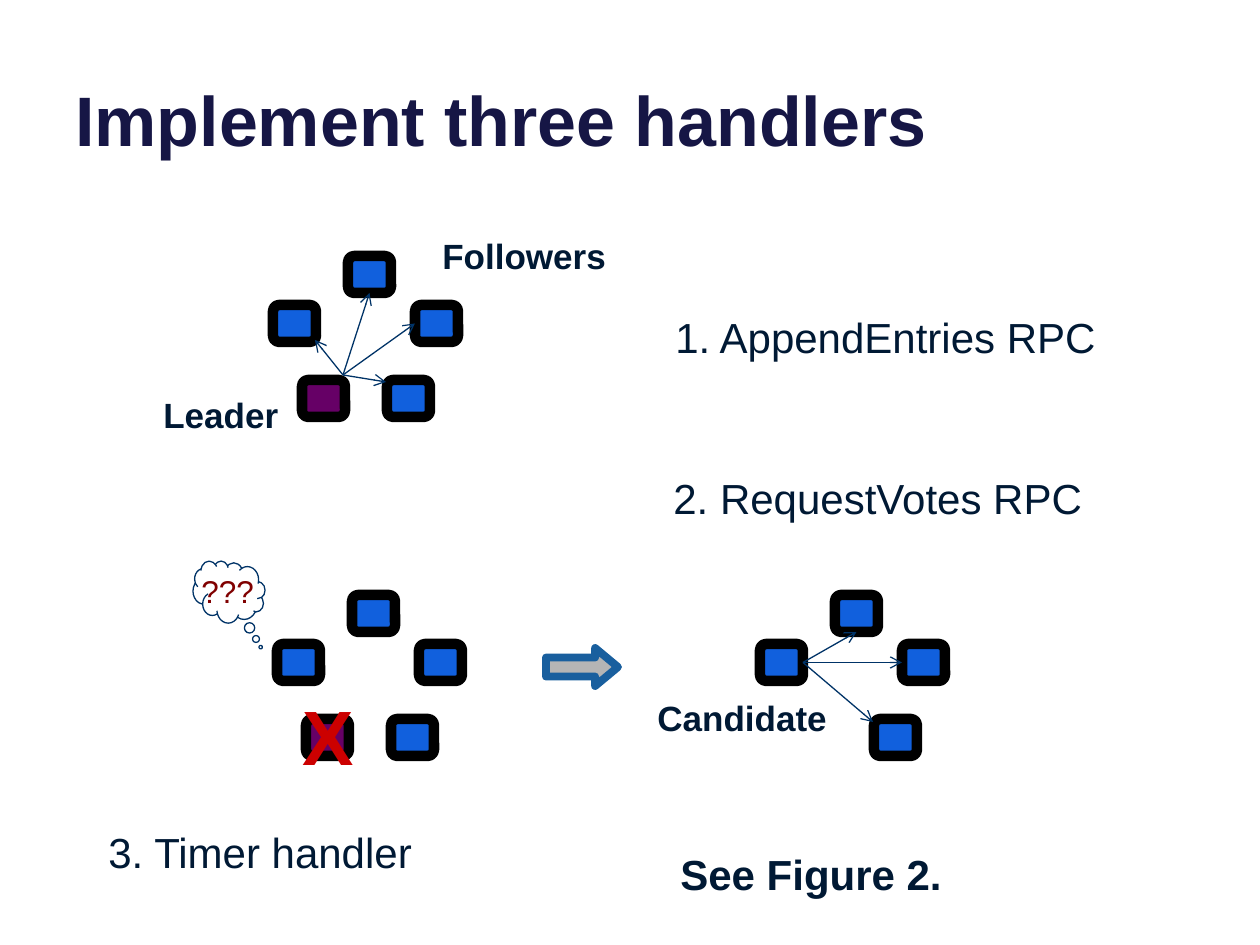
from lxml import etree
from pptx import Presentation
from pptx.dml.color import RGBColor
from pptx.enum.shapes import MSO_CONNECTOR, MSO_SHAPE
from pptx.enum.text import MSO_ANCHOR, MSO_AUTO_SIZE
from pptx.oxml.ns import qn
from pptx.util import Emu, Pt

PX = 914400 // 126
COLORS = {
    "title": "161645", "text": "001934", "node": "1160DD", "leader": "660066",
    "border": "000000", "line": "003367", "cross": "CC0000", "doubt": "800000",
    "arrow": "B5B5B5", "arrow_edge": "195F9E",
}

# Content: text, box in px, format
TITLE = ("Implement three handlers", (63, -47, 1134, 214),
         dict(size=40, color="title", bold=True, fit=False, wrap=True,
              anchor=MSO_ANCHOR.BOTTOM))
CROSS = ("X", (290, 682, 77, 106), dict(size=44, color="cross", bold=True))
DOUBT = ("???", (189, 566, 86, 50), dict(size=18, color="doubt", wrap=True))
LABELS = [
    ("1. AppendEntries RPC", (663, 305, 450, 63), {}),
    ("2. RequestVotes RPC", (661, 466, 438, 63), {}),
    ("Leader", (151, 387, 141, 55), dict(size=20, bold=True)),
    ("Followers", (430, 228, 190, 55), dict(size=20, bold=True)),
    ("Candidate", (645, 690, 197, 55), dict(size=20, bold=True)),
    ("See Figure 2.", (668, 842, 290, 63), dict(bold=True)),
    ("3. Timer handler", (96, 820, 333, 63), {}),
]

# Clusters: each node is placed relative to the top one
NODE_W, NODE_H = 43, 37
OFFSETS = {"top": (0, 0), "right": (67, 49), "low": (39, 124),
           "left": (-75, 49), "leader": (-46, 124)}
FOLLOWERS = ["top", "right", "low", "left"]
APPEND_AT, TIMEOUT_AT, VOTE_AT = (348, 256), (352, 595), (835, 595)

# Messages: end point in px, and the node and side it joins, if any
BOTTOM, LEFT, RIGHT = 2, 1, 3
APPEND_FROM = (343, 375)
APPENDS = [((315, 340), None), ((369, 293), ("top", BOTTOM)),
           ((415, 324), ("right", LEFT)), ((386, 382), None)]
VOTE_FROM = (803, 663)
VOTES = [((857, 632), ("top", BOTTOM)), ((902, 663), ("right", LEFT)),
         ((873, 722), None)]

prs = Presentation()
prs.slide_width, prs.slide_height = Emu(1260 * PX), Emu(945 * PX)
slide = prs.slides.add_slide(prs.slide_layouts[6])
shapes = slide.shapes


def px(*values):
    return [Emu(v * PX) for v in values]


def rgb(name):
    return RGBColor.from_string(COLORS[name])


def add_text(text, box, size=24, color="text", bold=False, fit=True,
             wrap=False, anchor=MSO_ANCHOR.TOP):
    tf = shapes.add_textbox(*px(*box)).text_frame
    tf.word_wrap = wrap
    tf.auto_size = MSO_AUTO_SIZE.SHAPE_TO_FIT_TEXT if fit else MSO_AUTO_SIZE.NONE
    tf.vertical_anchor = anchor
    r = tf.paragraphs[0].add_run()
    r.text = text
    r.font.name, r.font.size, r.font.bold = "Arial", Pt(size), bold
    r.font.color.rgb = rgb(color)


def add_shape(kind, box, fill, line, width, adjust=()):
    sp = shapes.add_shape(kind, *px(*box))
    sp.shadow.inherit = False
    if fill:
        sp.fill.solid()
        sp.fill.fore_color.rgb = rgb(fill)
    else:
        sp.fill.background()
    sp.line.color.rgb = rgb(line)
    sp.line.width = Pt(width)
    for i, value in enumerate(adjust):
        sp.adjustments[i] = value
    return sp


def add_cluster(origin, names):
    nodes = {}
    for name in names:
        dx, dy = OFFSETS[name]
        box = (origin[0] + dx, origin[1] + dy, NODE_W, NODE_H)
        fill = "leader" if name == "leader" else "node"
        nodes[name] = add_shape(MSO_SHAPE.ROUNDED_RECTANGLE, box, fill, "border", 6)
    return nodes


def add_messages(start, messages, nodes, sender=None):
    for end, target in messages:
        line = shapes.add_connector(MSO_CONNECTOR.STRAIGHT, *px(*start, *end))
        line.line.color.rgb = rgb("line")
        line.line.width = Pt(0.75)
        ln = line.line._get_or_add_ln()
        etree.SubElement(ln, qn("a:tailEnd")).set("type", "arrow")
        etree.SubElement(line._element.spPr, qn("a:effectLst"))
        if sender:
            line.begin_connect(nodes[sender], RIGHT)
        if target:
            line.end_connect(nodes[target[0]], target[1])


add_text(*TITLE[:2], **TITLE[2])

# Leader sends entries to its followers
nodes = add_cluster(APPEND_AT, FOLLOWERS + ["leader"])
add_messages(APPEND_FROM, APPENDS, nodes)

# Leader fails and a follower notices
add_cluster(TIMEOUT_AT, FOLLOWERS + ["leader"])
add_text(*CROSS[:2], **CROSS[2])
add_text(*DOUBT[:2], **DOUBT[2])
cloud = add_shape(MSO_SHAPE.CLOUD_CALLOUT, (193, 561, 72, 62), None, "line", 0.75,
                  (-0.44, 0.89))
cloud._element.spPr.find(qn("a:xfrm")).set("flipH", "1")

# Step to the election
step = add_shape(MSO_SHAPE.DOWN_ARROW, (563, 631, 38, 72), "arrow", "arrow_edge", 4.5,
                 (0.5, 0.6))
step.rotation = 270

# Candidate asks for votes
nodes = add_cluster(VOTE_AT, FOLLOWERS)
add_messages(VOTE_FROM, VOTES, nodes, sender="left")

for text, box, style in LABELS:
    add_text(text, box, **style)

prs.save("out.pptx")
